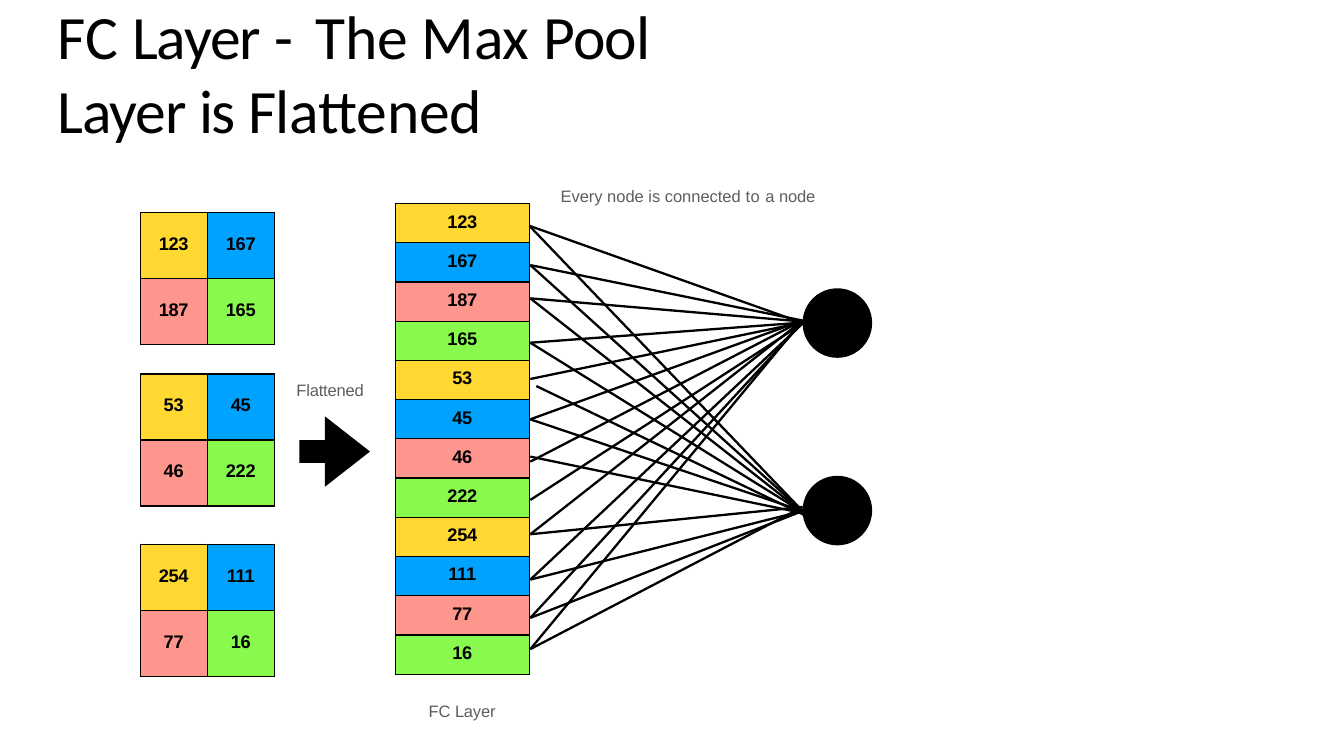
import pptx
import pptx.dml.color
import pptx.enum.shapes
import pptx.enum.text
import pptx.oxml
import pptx.oxml.ns
import pptx.util

THEME = {
    "ink": "000000", "label": "5E5E5E",
    "cells": ["FFD932", "00A2FF", "FF968D", "88FA4E"],
    "title_font": "Calibri", "body_font": "Arial",
    "title_size": 44, "cell_size": 13, "label_size": 11.8,
    "wire": 1.65, "border": 1,
}

TITLE = [("FC ", 0), ("Layer ", -0.8), ("- ", 3.1), ("The ", -0.3), ("Max ", 0),
         ("Pool Layer ", -0.8), ("is ", -1.3), ("Flattened", -0.3)]
LABELS = [
    ((55.5, 18.4, 26.1, 2.1), [("Every node is connected ", 0), ("to ", 0.4), ("a ", 0), ("node", -0.1)]),
    ((29.3, 37.6, 7.1, 2.1), [("Flattened", -0.1)]),
    ((42.4, 69.4, 6.9, 2.1), [("FC ", 0), ("Layer", -0.1)]),
]
POOLS = [
    (21.1, [123, 167, 187, 165]),
    (37.1, [53, 45, 46, 222]),
    (54, [254, 111, 77, 16]),
]
UPPER_WIRES = [(22.4, 32, -0.1), (26.3, 31.8, 0), (29.6, 31.9, 0), (34, 32, 0),
               (37.6, 32, 0), (41.6, 31.8, 0), (45.8, 31.8, 0), (49.6, 32.1, 0),
               (53, 31.8, 0), (57.5, 32.1, 0), (61.3, 32, 0), (64.4, 31.8, 0)]
LOWER_WIRES = [(22.5, 50.7, 0), (26.3, 50.7, 0), (29.6, 50.8, 0), (34, 50.8, 0),
               (38.3, 51.3, 0.6), (41.6, 50.7, 0), (45.3, 50.9, 0), (53, 50.3, 0),
               (57.5, 50.7, 0), (61.3, 50.7, 0), (64.4, 50.3, 0)]
NODE_ROWS = [28.6, 47.2]
NODE_COLUMN, NODE_SIZE = 79.6, 6.9
WIRE_START, WIRE_END = 52.6, 79.6
POOL_COLUMN, POOL_SIZE = 13.9, (13.3, 13.1)
LAYER_AREA = (39.2, 20.2, 13.3, 46.7)
ARROW_AREA = (29.7, 41.3, 7, 7)


def grid(*cells):
    return [pptx.util.Inches(cell / 10) for cell in cells]


def color(name):
    return pptx.dml.color.RGBColor.from_string(name)


def assign(target, values):
    for name, value in values.items():
        setattr(target, name, value)


def write(para, pieces, font, size, ink, bold=False):
    for text, spacing in pieces:
        span = para.add_run()
        span.text = text
        assign(span.font, {"name": font, "size": pptx.util.Pt(size), "bold": bold})
        span.font.color.rgb = color(ink)
        span.font._element.set("spc", str(round(spacing * 100)))


def add_text(page, area, pieces, font, size, ink, anchor, top, bottom):
    frame = page.shapes.add_textbox(*grid(*area)).text_frame
    assign(frame, {
        "word_wrap": True, "vertical_anchor": anchor,
        "margin_left": pptx.util.Inches(0.01), "margin_right": 0,
        "margin_top": pptx.util.Inches(top), "margin_bottom": pptx.util.Inches(bottom),
    })
    para = frame.paragraphs[0]
    para.space_before = pptx.util.Pt(0.8)
    write(para, pieces, font, size, ink)


def add_borders(cell):
    properties = cell._tc.get_or_add_tcPr()
    width = pptx.util.Pt(THEME["border"])
    for side in ("lnL", "lnR", "lnT", "lnB"):
        properties.append(pptx.oxml.parse_xml(
            f'<a:{side} {pptx.oxml.ns.nsdecls("a")} w="{width}"><a:solidFill>'
            f'<a:srgbClr val="{THEME["ink"]}"/></a:solidFill></a:{side}>'))


def add_grid(page, area, values, columns):
    rows = len(values) // columns
    table = page.shapes.add_table(rows, columns, *grid(*area)).table
    assign(table, {"first_row": False, "horz_banding": False})
    for column in table.columns:
        column.width = grid(area[2] / columns)[0]
    for row in table.rows:
        row.height = grid(area[3] / rows)[0]
    for index, value in enumerate(values):
        cell = table.cell(*divmod(index, columns))
        assign(cell, {"margin_left": 0, "margin_right": 0, "margin_top": 0,
                      "margin_bottom": pptx.util.Inches(0.03),
                      "vertical_anchor": pptx.enum.text.MSO_ANCHOR.MIDDLE})
        add_borders(cell)
        cell.fill.solid()
        cell.fill.fore_color.rgb = color(THEME["cells"][index % 4])
        para = cell.text_frame.paragraphs[0]
        para.alignment = pptx.enum.text.PP_ALIGN.CENTER
        write(para, [(str(value), -0.2)], THEME["body_font"], THEME["cell_size"], THEME["ink"], True)


def add_solid(page, kind, area):
    shape = page.shapes.add_shape(kind, *grid(*area))
    shape.shadow.inherit = False
    shape.fill.solid()
    shape.fill.fore_color.rgb = color(THEME["ink"])
    shape.line.fill.background()
    return shape


def add_wire(page, start, end, shift):
    wire = page.shapes.add_connector(
        pptx.enum.shapes.MSO_CONNECTOR.STRAIGHT,
        *grid(WIRE_START + shift, start, WIRE_END + shift, end))
    wire.line.width = pptx.util.Pt(THEME["wire"])
    wire.line.color.rgb = color(THEME["ink"])
    wire._element.spPr.append(
        pptx.oxml.parse_xml(f'<a:effectLst {pptx.oxml.ns.nsdecls("a")}/>'))


def main():
    deck = pptx.Presentation()
    assign(deck, {"slide_width": pptx.util.Inches(13.33), "slide_height": pptx.util.Inches(7.5)})
    page = deck.slides.add_slide(deck.slide_layouts[6])
    anchors = pptx.enum.text.MSO_ANCHOR
    shapes = pptx.enum.shapes.MSO_SHAPE

    add_text(page, (5.6, -0.8, 69.7, 15.3), TITLE, THEME["title_font"],
             THEME["title_size"], THEME["ink"], anchors.MIDDLE, 0.05, 0)
    for top, values in POOLS:
        add_grid(page, (POOL_COLUMN, top, *POOL_SIZE), values, 2)
    add_grid(page, LAYER_AREA, [value for _, values in POOLS for value in values], 1)
    for top in NODE_ROWS:
        add_solid(page, shapes.OVAL, (NODE_COLUMN, top, NODE_SIZE, NODE_SIZE))
    for wire in UPPER_WIRES + LOWER_WIRES:
        add_wire(page, *wire)
    arrow = add_solid(page, shapes.RIGHT_ARROW, ARROW_AREA)
    arrow.adjustments[0] = 0.32
    arrow.adjustments[1] = 0.64
    for area, pieces in LABELS:
        add_text(page, area, pieces, THEME["body_font"], THEME["label_size"],
                 THEME["label"], anchors.TOP, 0.01, 0)
    deck.save("out.pptx")


if __name__ == "__main__":
    main()
